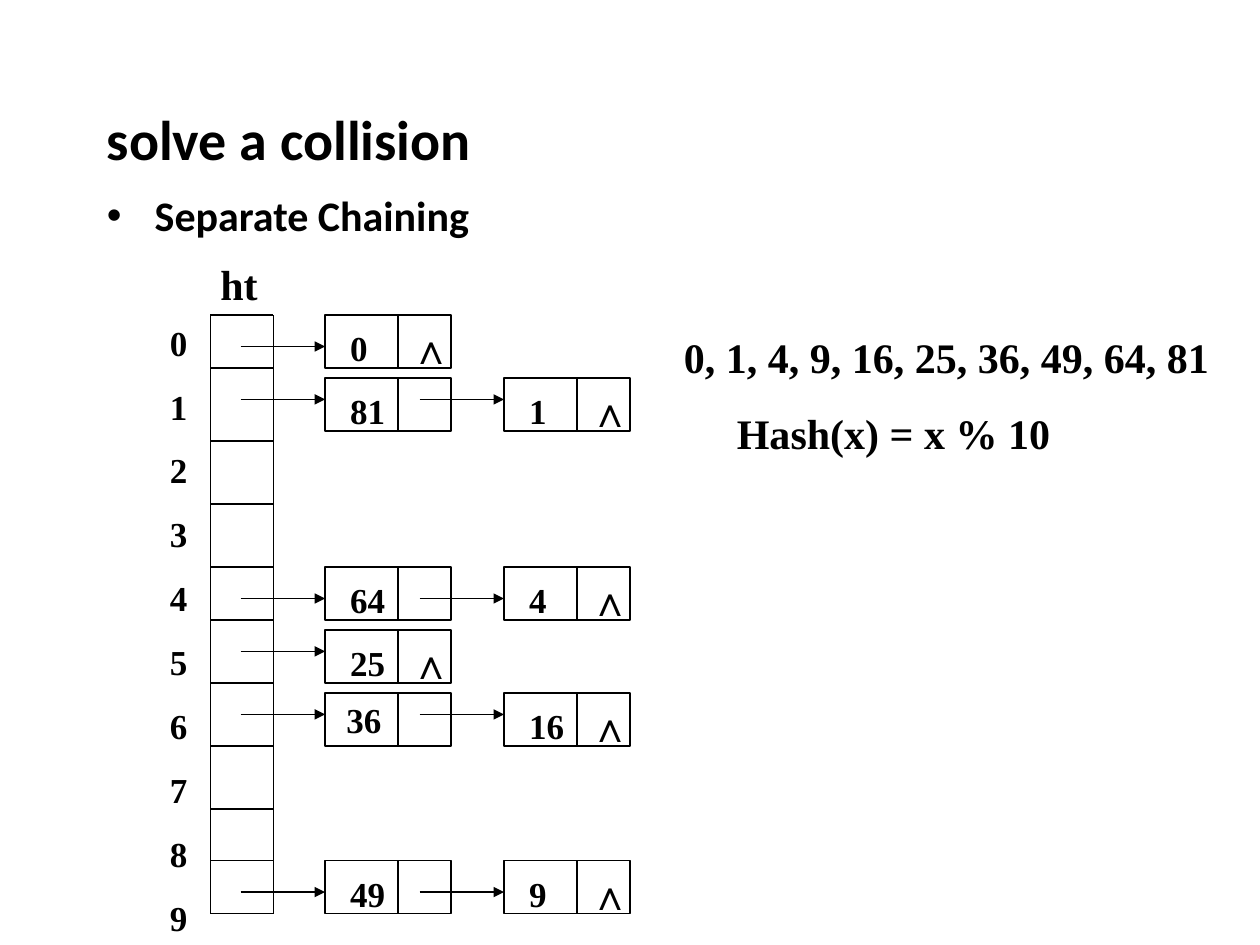
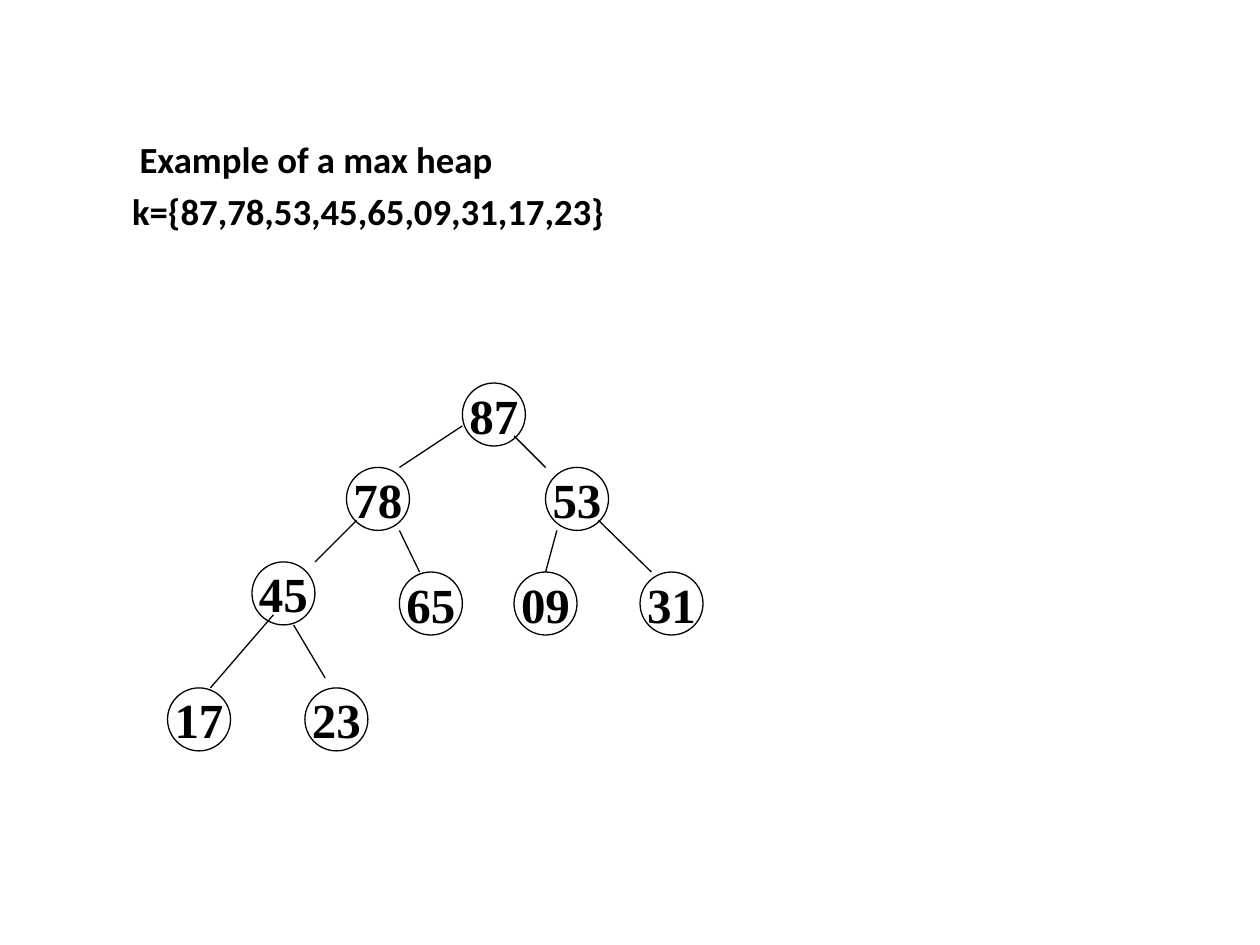
import dataclasses
import itertools
import typing

import pptx
import pptx.dml.color
import pptx.enum.shapes
import pptx.enum.text
import pptx.oxml
import pptx.oxml.ns
import pptx.util
from pptx.util import Inches

COLORS = {"ink": "000000", "paper": "FFFFFF"}
SANS, SERIF, SYMBOL = "Calibri", "Times New Roman", "Arial"
NODE_WIDTH, NODE_HEIGHT, SPLIT = 1, 0.42, 0.58
FIRST, SECOND = 2.58, 4
TABLE_LEFT, TABLE_RIGHT = 1.67, 2.17
CIRCLE = 0.5
Point = tuple[float, float]


@dataclasses.dataclass(frozen=True)
class Node:
    key: str
    left: float
    top: float
    last: bool = False
    pad: float = 0.2
    sink: float = 0.1


@dataclasses.dataclass(frozen=True)
class Chain:
    top: float
    arrow: float
    keys: tuple[str, ...]


@dataclasses.dataclass(frozen=True)
class Leaf:
    key: str
    left: float
    top: float


SLOTS = (2.5, 2.92, 3.5, 4, 4.5, 4.92, 5.42, 5.92, 6.42, 6.83, 7.25)
CHAINS = (
    Chain(2.5, 2.75, ("0",)),
    Chain(3, 3.17, ("81", "1")),
    Chain(4.5, 4.75, ("64", "4")),
    Chain(5, 5.17, ("25",)),
    Chain(5.5, 5.67, ("36", "16")),
    Chain(6.83, 7.08, ("49", "9")),
)
HEAP = (
    Leaf("87", 3.67, 3.04),
    Leaf("78", 2.75, 3.71),
    Leaf("53", 4.33, 3.71),
    Leaf("45", 2, 4.46),
    Leaf("65", 3.17, 4.54),
    Leaf("09", 4.08, 4.54),
    Leaf("31", 5.08, 4.54),
    Leaf("17", 1.33, 5.46),
    Leaf("23", 2.42, 5.46),
)
EDGES = (
    ((3.67, 3.38), (3.17, 3.71)),
    ((4.08, 3.46), (4.33, 3.71)),
    ((2.83, 4.13), (2.5, 4.46)),
    ((3.17, 4.21), (3.33, 4.54)),
    ((4.42, 4.21), (4.33, 4.54)),
    ((4.75, 4.13), (5.17, 4.54)),
    ((2.17, 4.88), (1.67, 5.46)),
    ((2.33, 4.96), (2.58, 5.38)),
)


def tint(name: str) -> pptx.dml.color.RGBColor:
    return pptx.dml.color.RGBColor.from_string(COLORS[name])


def add_child(parent: typing.Any, tag: str, **attrs: str) -> None:
    parent.append(parent.makeelement(pptx.oxml.ns.qn(tag), attrs))


def write(
    shape: typing.Any,
    *lines: str,
    size: float,
    face: str = SERIF,
    gap: float = 0,
    pitch: float = 1,
    indents: tuple[float, ...] = (),
    hang: float = 0,
    bullet: str = "",
    align: str = "LEFT",
    anchor: str = "TOP",
    wrap: bool = True,
    pads: tuple[float, float, float, float] = (0.1, 0.05, 0.1, 0.05),
) -> None:
    """Fill a shape with one paragraph a line; pads run left, top, right, bottom."""
    frame = shape.text_frame
    frame.word_wrap = wrap
    frame.vertical_anchor = pptx.enum.text.MSO_ANCHOR[anchor]
    frame.margin_left, frame.margin_top, frame.margin_right, frame.margin_bottom = map(Inches, pads)
    pairs = itertools.zip_longest(lines, indents, fillvalue=0)
    for index, (line, indent) in enumerate(pairs):
        para = frame.add_paragraph() if index else frame.paragraphs[0]
        para.alignment = pptx.enum.text.PP_ALIGN[align]
        para.line_spacing = pitch
        if index:
            para.space_before = pptx.util.Pt(gap)
        props = para._p.get_or_add_pPr()
        props.set("marL", str(Inches(indent)))
        props.set("indent", str(Inches(-hang)))
        if bullet:
            add_child(props, "a:buFont", typeface=SYMBOL)
            add_child(props, "a:buChar", char=bullet)
        run = para.add_run()
        run.text = line
        run.font.size = pptx.util.Pt(size)
        run.font.name = face
        run.font.bold = True
        run.font.color.rgb = tint("ink")


def add_box(slide: typing.Any, left: float, top: float, width: float, height: float) -> typing.Any:
    return slide.shapes.add_textbox(Inches(left), Inches(top), Inches(width), Inches(height))


def add_form(
    slide: typing.Any, kind: str, left: float, top: float, width: float, height: float
) -> typing.Any:
    """Add an unfilled preset shape with a thin outline."""
    form = slide.shapes.add_shape(
        pptx.enum.shapes.MSO_SHAPE[kind], Inches(left), Inches(top), Inches(width), Inches(height)
    )
    form.shadow.inherit = False
    form.fill.background()
    form.line.color.rgb = tint("ink")
    form.line.width = pptx.util.Pt(0.75)
    return form


def add_line(slide: typing.Any, start: Point, end: Point, arrow: bool = False) -> None:
    line = slide.shapes.add_connector(
        pptx.enum.shapes.MSO_CONNECTOR.STRAIGHT, *map(Inches, (*start, *end))
    )
    line.line.color.rgb = tint("ink")
    line.line.width = pptx.util.Pt(0.75)
    if arrow:
        add_child(line.line._get_or_add_ln(), "a:tailEnd", type="triangle")
    add_child(line._element.spPr, "a:effectLst")


def add_node(slide: typing.Any, node: Node) -> None:
    """Draw a list cell: key on the left, link or end mark on the right."""
    form = add_form(slide, "RECTANGLE", node.left, node.top, NODE_WIDTH, NODE_HEIGHT)
    write(form, node.key, size=20, anchor="MIDDLE", pads=(node.pad, node.sink, 0, 0))
    split = node.left + SPLIT
    add_line(slide, (split, node.top), (split, node.top + NODE_HEIGHT))
    if node.last:
        mark = add_box(slide, split, node.top, NODE_WIDTH - SPLIT, NODE_HEIGHT)
        write(mark, "∧", size=24, face=SYMBOL, align="CENTER", anchor="MIDDLE",
              pads=(0.1, 0.1, 0, 0))


def add_chain(slide: typing.Any, chain: Chain) -> None:
    stops = zip(chain.keys, (FIRST, SECOND))
    for index, (key, left) in enumerate(stops, 1):
        node = Node(key, left, chain.top, last=index == len(chain.keys))
        if key == "36":
            node = dataclasses.replace(node, pad=0.17, sink=0)
        add_node(slide, node)
        add_line(slide, (left - 0.67, chain.arrow), (left, chain.arrow), arrow=True)


def add_leaf(slide: typing.Any, leaf: Leaf) -> None:
    form = add_form(slide, "OVAL", leaf.left, leaf.top, CIRCLE, CIRCLE)
    write(form, leaf.key, size=28, align="CENTER", anchor="MIDDLE", wrap=False, pads=(0, 0, 0, 0))


def draw_table(slide: typing.Any) -> None:
    title = add_box(slide, 0.75, 0.67, 8.5, 0.92)
    write(title, "solve a collision", size=32, face=SANS, pitch=0.9, anchor="MIDDLE")
    topic = add_box(slide, 0.75, 1.5, 8.5, 0.5)
    write(topic, "Separate Chaining", size=24, face=SANS, pitch=0.9,
          indents=(0.38,), hang=0.38, bullet="•")
    write(add_box(slide, 1.65, 2, 0.5, 0.5), "ht", size=24, wrap=False)
    write(add_box(slide, 1.25, 2.5, 0.33, 5), *map(str, range(10)), size=20, gap=12.5)
    for side in (TABLE_LEFT, TABLE_RIGHT):
        add_line(slide, (side, SLOTS[0]), (side, SLOTS[-1]))
    for slot in SLOTS:
        add_line(slide, (TABLE_LEFT, slot), (TABLE_RIGHT, slot))
    for chain in CHAINS:
        add_chain(slide, chain)
    write(add_box(slide, 5.33, 2.58, 4.5, 1.11),
          "0, 1, 4, 9, 16, 25, 36, 49, 64, 81", "Hash(x) = x % 10",
          size=24, gap=15, indents=(0, 0.42))


def draw_heap(slide: typing.Any) -> None:
    write(add_box(slide, 0.75, 1.08, 8.5, 1),
          "Example of a max heap", "k={87,78,53,45,65,09,31,17,23}",
          size=21, face=SANS, gap=7, pitch=0.9, indents=(0.26, 0.2))
    for leaf in HEAP:
        add_leaf(slide, leaf)
    for start, end in EDGES:
        add_line(slide, start, end)


def main() -> None:
    deck = pptx.Presentation()
    deck.slide_width, deck.slide_height = Inches(10), Inches(7.5)
    for draw in (draw_table, draw_heap):
        slide = deck.slides.add_slide(deck.slide_layouts[6])
        slide.background.fill.solid()
        slide.background.fill.fore_color.rgb = tint("paper")
        draw(slide)
    deck.save("out.pptx")


if __name__ == "__main__":
    main()
